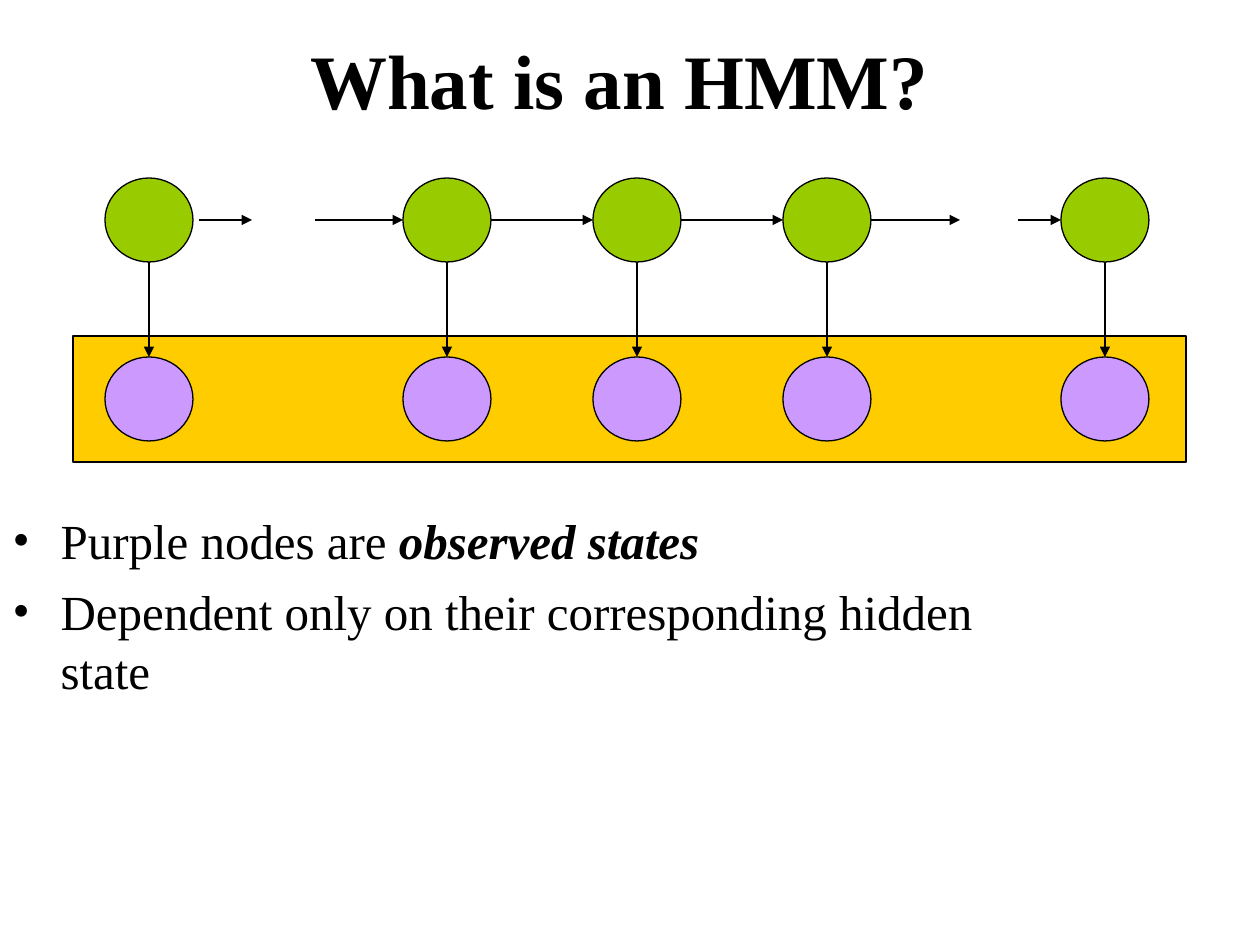
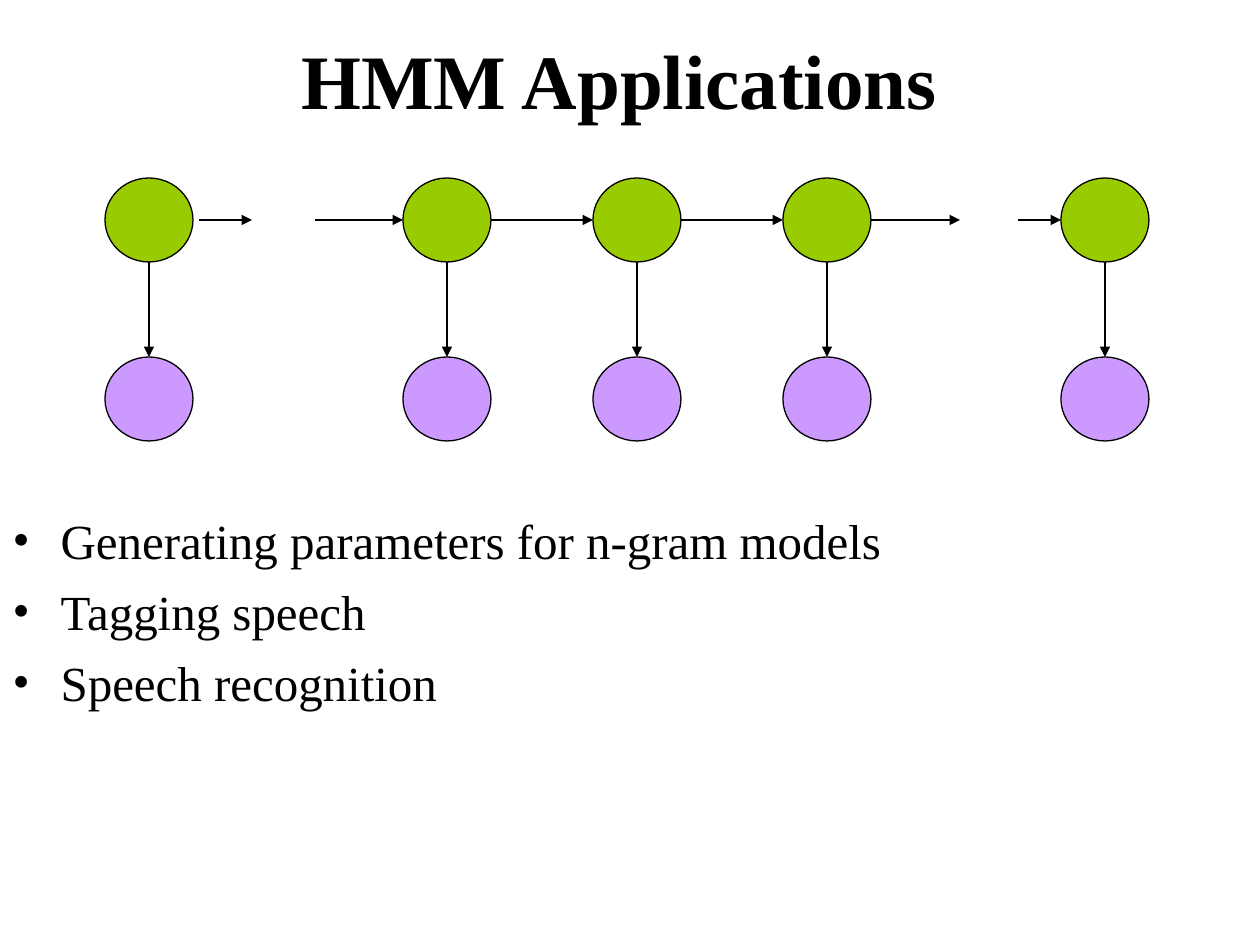
from lxml.etree import SubElement
from pptx import Presentation
from pptx.dml.color import RGBColor
from pptx.enum.shapes import MSO_CONNECTOR, MSO_SHAPE
from pptx.enum.text import MSO_ANCHOR, MSO_AUTO_SIZE, PP_ALIGN
from pptx.oxml.ns import qn
from pptx.util import Emu, Pt

# Each bullet is a list of (text, emphasised) runs.
SLIDES = [
    {
        "title": "What is an HMM?",
        "bullets": [
            [("Purple nodes are ", False), ("observed states", True)],
            [("Dependent only on their corresponding hidden state", False)],
        ],
        "highlight_observed": True,
    },
    {
        "title": "HMM Applications",
        "bullets": [
            [("Generating parameters for n-gram models", False)],
            [("Tagging speech", False)],
            [("Speech recognition", False)],
        ],
        "highlight_observed": False,
    },
]

BLACK = RGBColor(0x00, 0x00, 0x00)
HIDDEN_GREEN = RGBColor(0x99, 0xCC, 0x00)
OBSERVED_PURPLE = RGBColor(0xCC, 0x99, 0xFF)
BAND_YELLOW = RGBColor(0xFF, 0xCC, 0x00)
FONT = "Times New Roman"
LINE_WIDTH = Pt(0.75)

# Lengths in px, 126 to the inch
SLIDE_SIZE = (1260, 945)
TITLE_BOX = (84, 0, 1071, 158)
BODY_BOX = (0, 504, 1071, 273)
OBSERVED_BAND = (73, 336, 1113, 126)
BULLET_INDENT = 48
NODE_WIDTH, NODE_HEIGHT = 88, 84
HIDDEN_TOP, OBSERVED_TOP = 178, 357
FIRST_NODE, LAST_NODE = 105, 1061
CHAIN = [403 + 190 * step for step in range(3)]
FIRST_ARROW = (199, 252)
CHAIN_ENTRY, CHAIN_EXIT = 315, 960
LAST_ARROW_START = 1018


def px(length):
    return Emu(round(length * 914400 / 126))


def place(shape, box):
    shape.left, shape.top, shape.width, shape.height = map(px, box)


def style_run(run, size, bold=False, italic=False):
    font = run.font
    font.name, font.size = FONT, Pt(size)
    font.bold, font.italic = bold, italic
    font.color.rgb = BLACK


def style_frame(text_frame, anchor):
    text_frame.auto_size = MSO_AUTO_SIZE.NONE
    text_frame.word_wrap = True
    text_frame.vertical_anchor = anchor


def add_title(slide, text):
    title = slide.shapes.title
    place(title, TITLE_BOX)
    style_frame(title.text_frame, MSO_ANCHOR.MIDDLE)
    title.text_frame.text = text
    paragraph = title.text_frame.paragraphs[0]
    paragraph.alignment = PP_ALIGN.CENTER
    style_run(paragraph.runs[0], 44, bold=True)


def set_bullet(paragraph):
    properties = paragraph._p.get_or_add_pPr()
    properties.set("marL", str(px(BULLET_INDENT)))
    properties.set("indent", str(-px(BULLET_INDENT)))
    SubElement(properties, qn("a:buFont"), typeface=FONT)
    SubElement(properties, qn("a:buChar"), char="•")


def add_bullets(slide, bullets):
    body = slide.placeholders[1]
    place(body, BODY_BOX)
    text_frame = body.text_frame
    style_frame(text_frame, MSO_ANCHOR.TOP)
    for index, runs in enumerate(bullets):
        paragraph = text_frame.add_paragraph() if index else text_frame.paragraphs[0]
        paragraph.space_before = Pt(7)
        set_bullet(paragraph)
        for text, emphasised in runs:
            run = paragraph.add_run()
            run.text = text
            style_run(run, 28, bold=emphasised, italic=emphasised)


def add_filled(shapes, kind, box, color):
    shape = shapes.add_shape(kind, *map(px, box))
    shape.shadow.inherit = False
    shape.fill.solid()
    shape.fill.fore_color.rgb = color
    shape.line.color.rgb = BLACK
    shape.line.width = LINE_WIDTH


def add_arrow(shapes, start, end):
    arrow = shapes.add_connector(MSO_CONNECTOR.STRAIGHT, *map(px, start + end))
    arrow.line.color.rgb = BLACK
    arrow.line.width = LINE_WIDTH
    SubElement(arrow.line._get_or_add_ln(), qn("a:tailEnd"), type="triangle")
    SubElement(arrow._element.spPr, qn("a:effectLst"))


def add_transition(shapes, start, end):
    """Draw a horizontal arrow through the centres of the hidden nodes."""
    middle = HIDDEN_TOP + NODE_HEIGHT // 2
    add_arrow(shapes, (start, middle), (end, middle))


def add_state(shapes, left):
    """Draw a hidden node, its observed node and the arrow between them."""
    for top, color in ((HIDDEN_TOP, HIDDEN_GREEN), (OBSERVED_TOP, OBSERVED_PURPLE)):
        add_filled(shapes, MSO_SHAPE.OVAL, (left, top, NODE_WIDTH, NODE_HEIGHT), color)
    center = left + NODE_WIDTH // 2
    add_arrow(shapes, (center, HIDDEN_TOP + NODE_HEIGHT), (center, OBSERVED_TOP))


def add_model(slide):
    chain_shapes = slide.shapes.add_group_shape().shapes
    for left in CHAIN:
        add_state(chain_shapes, left)
    starts = [CHAIN_ENTRY] + [left + NODE_WIDTH for left in CHAIN]
    for start, end in zip(starts, CHAIN + [CHAIN_EXIT]):
        add_transition(chain_shapes, start, end)

    add_state(slide.shapes, FIRST_NODE)
    add_transition(slide.shapes, *FIRST_ARROW)
    add_state(slide.shapes, LAST_NODE)
    add_transition(slide.shapes, LAST_ARROW_START, LAST_NODE)


def main():
    presentation = Presentation()
    presentation.slide_width, presentation.slide_height = map(px, SLIDE_SIZE)
    for content in SLIDES:
        slide = presentation.slides.add_slide(presentation.slide_layouts[1])
        add_title(slide, content["title"])
        add_bullets(slide, content["bullets"])
        if content["highlight_observed"]:
            add_filled(slide.shapes, MSO_SHAPE.RECTANGLE, OBSERVED_BAND, BAND_YELLOW)
        add_model(slide)
    presentation.save("out.pptx")


if __name__ == "__main__":
    main()
